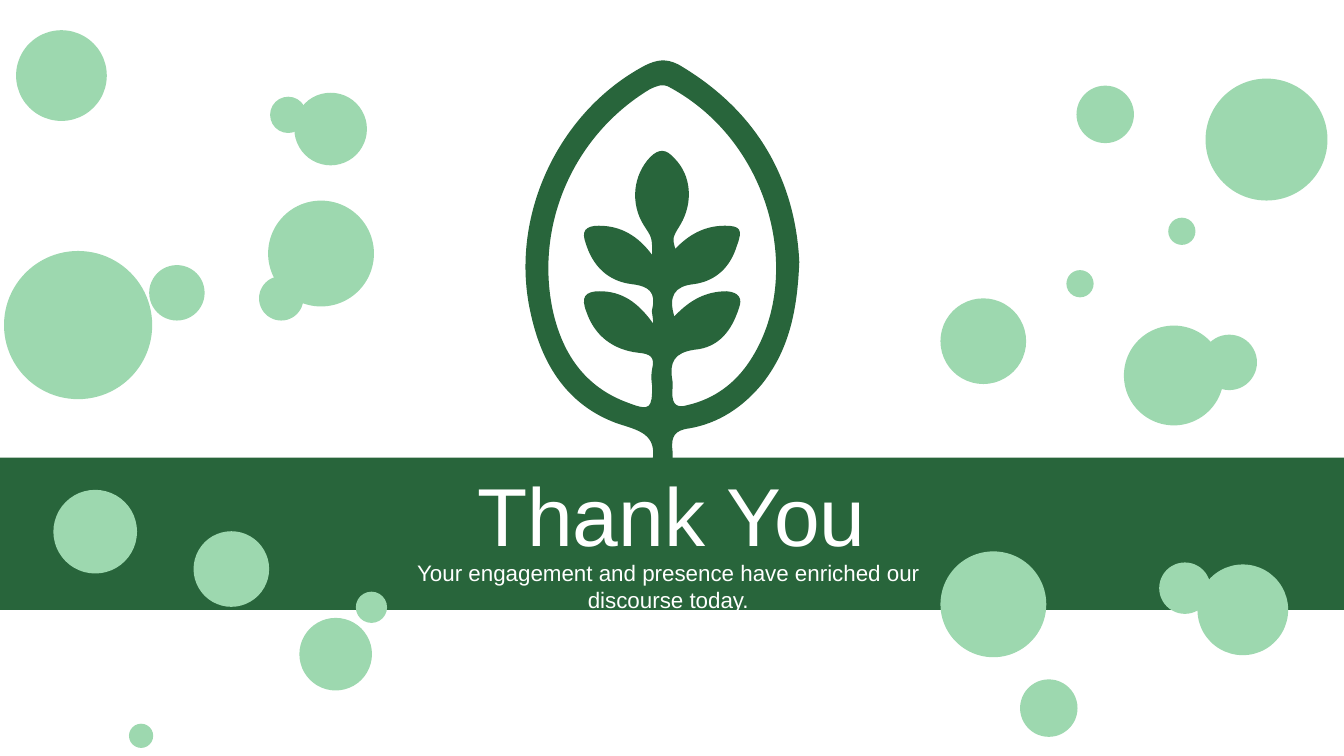
from dataclasses import dataclass

from lxml.etree import Element
from pptx import Presentation
from pptx.dml.color import RGBColor as RGB
from pptx.enum.shapes import MSO_SHAPE as Shape
from pptx.enum.text import MSO_ANCHOR as Anchor, MSO_AUTO_SIZE as AutoSize, PP_ALIGN as Align
from pptx.oxml.ns import qn
from pptx.util import Inches, Pt


@dataclass(frozen=True)
class Theme:
    dark: RGB = RGB(0x28, 0x65, 0x3B)
    light: RGB = RGB(0x9D, 0xD8, 0xAF)
    white: RGB = RGB(0xFF, 0xFF, 0xFF)
    font: str = "Arial"
    title: float = 58.7
    body: float = 16


SLIDE_W, SLIDE_H = 40 / 3, 7.5

BUBBLES = [
    (11.92, 3.32, 0.55), (10.68, 0.85, 0.57), (11.15, 3.23, 0.99),
    (2.66, 1.99, 1.05), (2.92, 0.92, 0.72), (2.57, 2.74, 0.44),
    (1.48, 2.63, 0.55), (0.04, 2.49, 1.47), (11.96, 0.78, 1.21),
    (2.68, 0.96, 0.36), (0.16, 0.3, 0.9), (0.53, 4.86, 0.83),
    (11.5, 5.58, 0.51), (10.12, 6.74, 0.57), (11.88, 5.6, 0.9),
    (9.33, 5.47, 1.05), (3.53, 5.87, 0.31), (2.97, 6.13, 0.72),
    (1.92, 5.27, 0.75), (9.33, 2.96, 0.85), (11.59, 2.16, 0.27),
    (10.58, 2.68, 0.27), (1.28, 7.18, 0.24),
]

LEAF_OUTLINE = [
    (7.93, 2.6),
    (7.91, 3.08, 7.83, 3.47, 7.56, 3.81),
    (7.37, 4.04, 7.13, 4.2, 6.84, 4.25),
    (6.69, 4.27, 6.66, 4.33, 6.67, 4.46),
    (6.68, 4.5, 6.67, 4.54, 6.67, 4.59),
    (6.67, 4.64, 6.64, 4.68, 6.57, 4.68),
    (6.51, 4.68, 6.46, 4.65, 6.47, 4.59),
    (6.53, 4.3, 6.33, 4.27, 6.12, 4.2),
    (5.63, 4.02, 5.38, 3.62, 5.27, 3.13),
    (5.04, 2.17, 5.53, 1.11, 6.4, 0.65),
    (6.52, 0.59, 6.61, 0.58, 6.73, 0.64),
    (7.5, 1.09, 7.89, 1.77, 7.93, 2.6),
]

LEAF_OPENING = [
    (6.69, 3.14),
    (6.84, 2.98, 7, 2.89, 7.21, 2.89),
    (7.33, 2.9, 7.37, 2.96, 7.33, 3.06),
    (7.26, 3.28, 7.13, 3.45, 6.89, 3.47),
    (6.69, 3.5, 6.64, 3.59, 6.67, 3.77),
    (6.68, 3.81, 6.67, 3.86, 6.67, 3.9),
    (6.67, 4.02, 6.72, 4.05, 6.82, 4.02),
    (7.08, 3.96, 7.29, 3.81, 7.44, 3.58),
    (7.98, 2.76, 7.66, 1.42, 6.65, 0.87),
    (6.57, 0.82, 6.5, 0.86, 6.44, 0.89),
    (5.7, 1.34, 5.31, 2.21, 5.48, 3.06),
    (5.57, 3.49, 5.79, 3.84, 6.24, 4),
    (6.45, 4.08, 6.47, 4.05, 6.47, 3.83),
    (6.46, 3.77, 6.46, 3.71, 6.47, 3.66),
    (6.5, 3.54, 6.45, 3.51, 6.33, 3.5),
    (6.08, 3.47, 5.9, 3.33, 5.82, 3.1),
    (5.76, 2.95, 5.8, 2.89, 5.95, 2.89),
    (6.17, 2.89, 6.33, 3, 6.48, 3.21),
    (6.48, 3.13, 6.46, 3.09, 6.47, 3.07),
    (6.51, 2.9, 6.44, 2.84, 6.27, 2.82),
    (6.03, 2.79, 5.88, 2.64, 5.81, 2.41),
    (5.77, 2.3, 5.8, 2.24, 5.94, 2.24),
    (6.16, 2.24, 6.33, 2.34, 6.47, 2.53),
    (6.47, 2.36, 6.47, 2.36, 6.39, 2.24),
    (6.25, 2.02, 6.28, 1.74, 6.45, 1.56),
    (6.54, 1.47, 6.61, 1.48, 6.69, 1.57),
    (6.86, 1.74, 6.88, 2.01, 6.75, 2.23),
    (6.67, 2.36, 6.67, 2.36, 6.7, 2.47),
    (6.83, 2.33, 6.99, 2.24, 7.19, 2.24),
    (7.35, 2.24, 7.37, 2.28, 7.31, 2.44),
    (7.25, 2.64, 7.11, 2.79, 6.88, 2.82),
    (6.69, 2.84, 6.63, 2.94, 6.69, 3.14),
]


def to_points(contour):
    return [(Inches(row[i]), Inches(row[i + 1]))
            for row in contour for i in range(0, len(row), 2)]


def bend(sp):
    for i, line in enumerate(list(sp.element.iter(qn("a:lnTo")))):
        if i % 3 == 0:
            curve = Element(qn("a:cubicBezTo"))
            line.addprevious(curve)
        curve.append(line[0])
        line.getparent().remove(line)


def write(tf, text, *, font, size, color, align=Align.CENTER, anchor=Anchor.MIDDLE):
    tf.word_wrap = True
    tf.auto_size = AutoSize.SHAPE_TO_FIT_TEXT
    tf.vertical_anchor = anchor
    p = tf.paragraphs[0]
    p.alignment = align
    p.space_before = Pt(0)
    r = p.add_run()
    r.text = text
    r.font.name = font
    r.font.size = Pt(size)
    r.font.color.rgb = color


class Deck:
    def __init__(self, theme):
        self.theme = theme
        self.prs = Presentation()
        self.prs.slide_width = Inches(SLIDE_W)
        self.prs.slide_height = Inches(SLIDE_H)
        self.slide = self.prs.slides.add_slide(self.prs.slide_layouts[0])
        self.shapes = self.slide.shapes

    def paint(self, sp, color):
        sp.shadow.inherit = False
        sp.fill.solid()
        sp.fill.fore_color.rgb = color
        sp.line.fill.background()

    def shape(self, kind, x, y, w, h, color):
        sp = self.shapes.add_shape(kind, Inches(x), Inches(y), Inches(w), Inches(h))
        self.paint(sp, color)

    def curves(self, contours, color):
        first, *others = [to_points(contour) for contour in contours]
        builder = self.shapes.build_freeform(*first[0])
        builder.add_line_segments(first[1:], close=True)
        for points in others:
            builder.move_to(*points[0])
            builder.add_line_segments(points[1:], close=True)
        sp = builder.convert_to_shape()
        bend(sp)
        self.paint(sp, color)

    def placeholder(self, idx, text, x, y, w, h, size):
        sp = self.slide.placeholders[idx]
        sp.left, sp.top, sp.width, sp.height = map(Inches, (x, y, w, h))
        self.shapes.element.append(sp.element)
        write(sp.text_frame, text, font=self.theme.font, size=size, color=self.theme.white)


def main():
    theme = Theme()
    deck = Deck(theme)
    deck.shape(Shape.RECTANGLE, 0, 4.54, SLIDE_W, 1.51, theme.dark)
    deck.placeholder(0, "Thank You", 4.02, 4.55, 5.28, 1.09, theme.title)
    deck.placeholder(1, "Your engagement and presence have enriched our discourse today.",
                     3.99, 5.49, 5.28, 0.64, theme.body)
    for x, y, d in BUBBLES:
        deck.shape(Shape.OVAL, x, y, d, d, theme.light)
    deck.curves([LEAF_OUTLINE, LEAF_OPENING], theme.dark)
    deck.prs.save("out.pptx")


if __name__ == "__main__":
    main()
